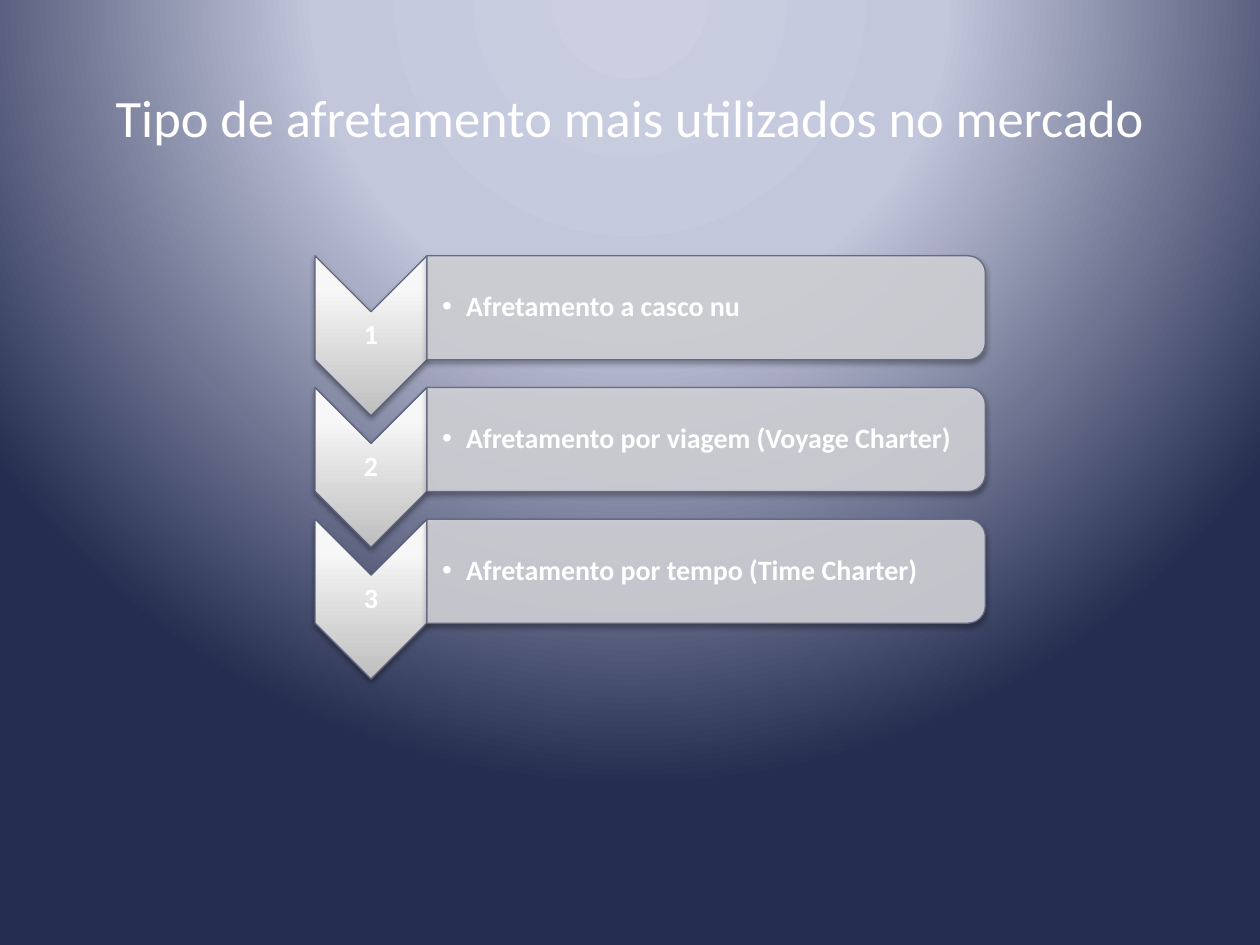
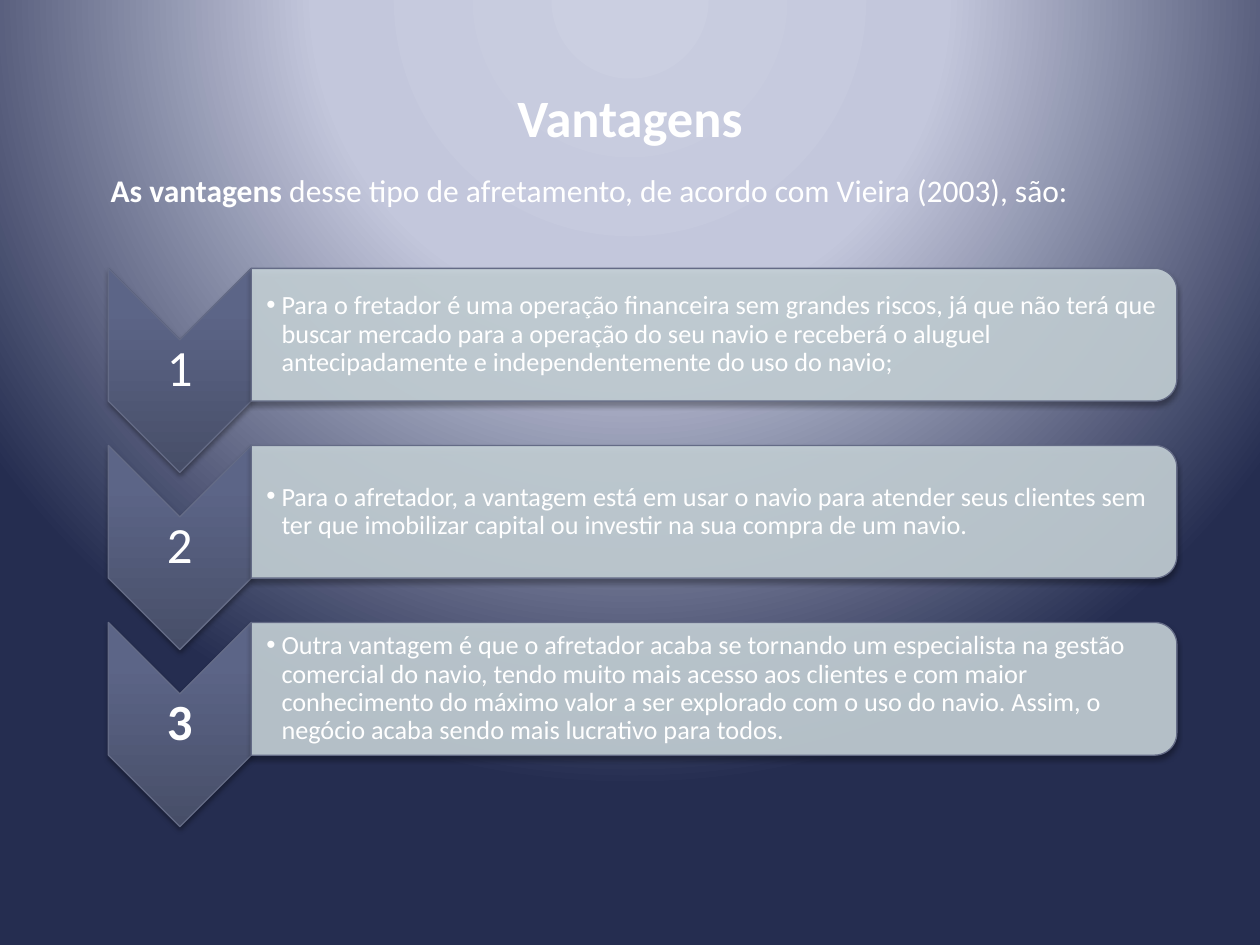
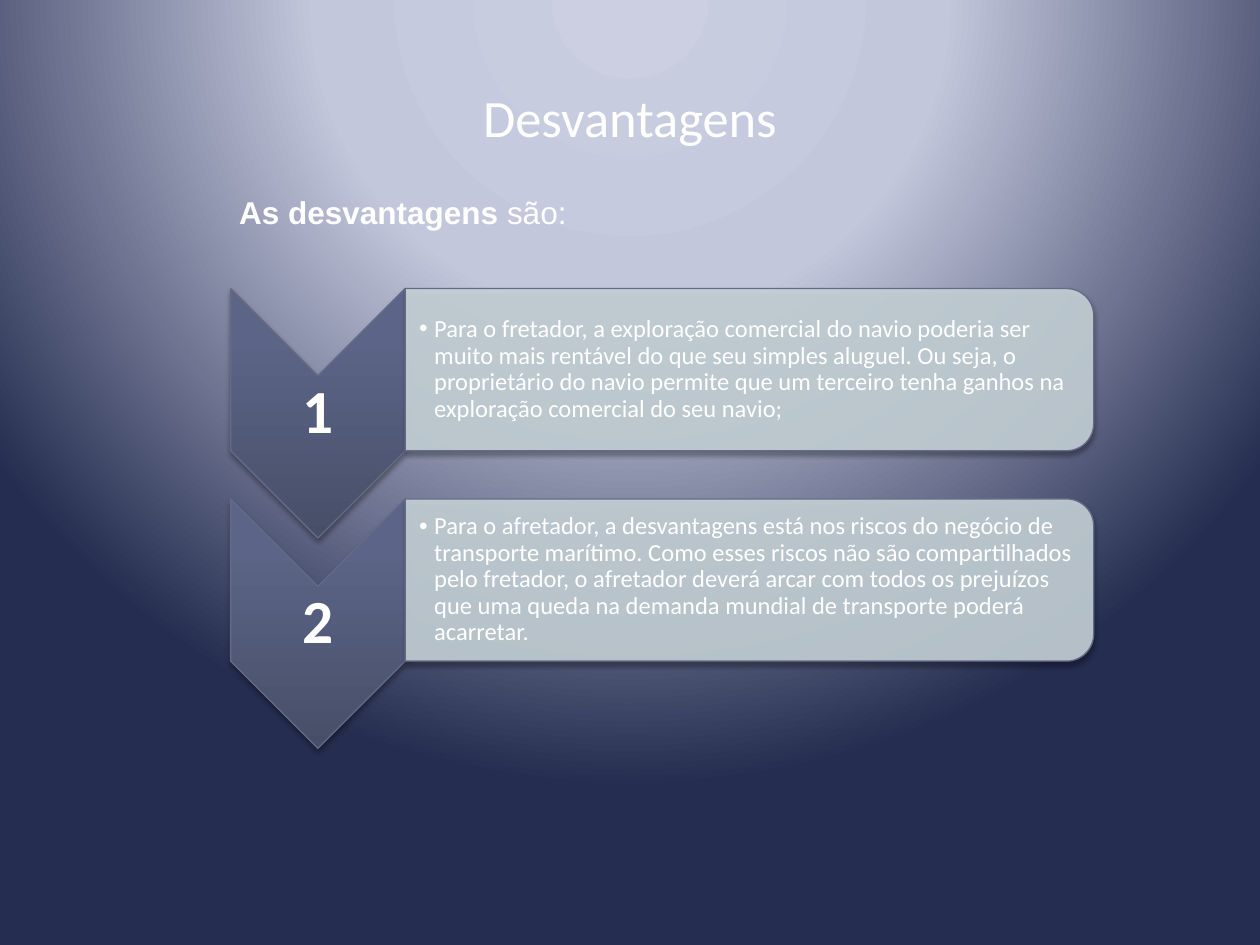
from dataclasses import dataclass

from lxml import etree
from pptx import Presentation
from pptx.dml.color import RGBColor
from pptx.enum.shapes import MSO_SHAPE
from pptx.enum.text import MSO_ANCHOR, PP_ALIGN
from pptx.oxml.ns import qn
from pptx.util import Inches, Pt

CHEVRON = MSO_SHAPE.CHEVRON
ROUNDED = MSO_SHAPE.ROUND_2_SAME_RECTANGLE
MIDDLE = MSO_ANCHOR.MIDDLE
TOP = MSO_ANCHOR.TOP
LEFT = PP_ALIGN.LEFT
CENTER = PP_ALIGN.CENTER
JUSTIFY = PP_ALIGN.JUSTIFY
TITLE_ONLY = 5


@dataclass(frozen=True)
class Theme:
    font: str = "Calibri"
    alt_font: str = "Arial"
    ink: str = "FFFFFF"
    edge: str = "646B86"
    shade: str = "000000"
    title: int = 30
    lead: int = 18
    back: tuple = ((0, "CBCFE1"), (40, "C3C7DC"), (100, "252D50"))


@dataclass(frozen=True)
class Style:
    arrow: tuple
    edge: str
    band: str
    mark: int
    body: int
    indent: float
    pad: float
    bold: bool = False


THEME = Theme()
BLUE = ((0, "474E68"), (80, "5C6587"), (100, "5C6588"))
GREY = ((0, "BEBEBE"), (80, "F7F7F7"), (100, "F8F8F8"))
TYPES = Style(GREY, "5B617A", "D3D4D9", 16, 16, 0.19, 0.12, True)
PROS = Style(BLUE, THEME.edge, "C5D1D7", 29, 15, 0.12, 0.12)
CONS = Style(BLUE, THEME.edge, "C5D1D7", 35, 14, 0.12, 0.11)


def add(parent, tag, **attrs):
    return etree.SubElement(parent, qn(tag), {k: str(v) for k, v in attrs.items()})


def blend(holder, stops, radial=False):
    solid = holder.find(qn("a:solidFill"))
    grad = etree.Element(qn("a:gradFill"), rotWithShape="0")
    items = add(grad, "a:gsLst")
    for pos, color in stops:
        add(add(items, "a:gs", pos=pos * 1000), "a:srgbClr", val=color)
    if radial:
        route = add(grad, "a:path", path="circle")
        add(route, "a:fillToRect", l=50000, t=-80000, r=50000, b=180000)
    else:
        add(grad, "a:lin", ang=270 * 60000, scaled=0)
    holder.replace(solid, grad)


def write(frame, parts, size, font=THEME.font, align=LEFT):
    para = frame.paragraphs[0]
    para.text = parts[0][0]
    para.alignment = align
    for text, _ in parts[1:]:
        para.add_run().text = text
    for run, (_, bold) in zip(para.runs, parts):
        run.font.name = font
        run.font.size = Pt(size)
        run.font.bold = bold
        run.font.color.rgb = RGBColor.from_string(THEME.ink)
    return para


def label(shapes, box, anchor=TOP, wrap=True):
    frame = shapes.add_textbox(*map(Inches, box)).text_frame
    frame.word_wrap = wrap
    frame.vertical_anchor = anchor
    return frame


def inset(frame, left, rest):
    frame.margin_left = Inches(left)
    frame.margin_top = frame.margin_right = frame.margin_bottom = Inches(rest)


def turned(shapes, kind, box, color, edge):
    left, top, width, height = box
    shift = (width - height) / 2
    place = left + shift, top - shift, height, width
    shape = shapes.add_shape(kind, *map(Inches, place))
    shape.rotation = 90
    shape.fill.solid()
    shape.fill.fore_color.rgb = RGBColor.from_string(color)
    shape.line.color.rgb = RGBColor.from_string(edge)
    shape.line.width = Pt(0.75)
    shape.shadow.inherit = False
    props = shape.element.spPr
    glow = add(props.find(qn("a:effectLst")), "a:outerShdw", blurRad=Pt(3.1),
               dist=Pt(1.8), dir=90 * 60000, rotWithShape=0)
    add(add(glow, "a:srgbClr", val=THEME.shade), "a:alpha", val=35000)
    return props


def arrow(shapes, box, mark, bold, style):
    left, top, width, height = box
    props = turned(shapes, CHEVRON, box, style.arrow[0][1], style.edge)
    blend(props, style.arrow)
    frame = label(shapes, (left, top + width / 2, width, height - width), MIDDLE)
    inset(frame, 0.02, 0.02)
    write(frame, [(mark, bold)], style.mark, align=CENTER).line_spacing = 0.9


def band(shapes, box, text, style):
    left, top, width, height = box
    props = turned(shapes, ROUNDED, box, style.band, THEME.edge)
    add(props.find(qn("a:solidFill"))[0], "a:alpha", val=90000)
    gap = 0.05 * height
    frame = label(shapes, (left, top + gap, width - gap, height - 2 * gap), MIDDLE)
    inset(frame, style.pad, 0.01)
    para = write(frame, [(text, style.bold)], style.body)
    para.line_spacing = 0.9
    props = para._p.get_or_add_pPr()
    props.set("marL", str(Inches(style.indent)))
    props.set("indent", str(-Inches(style.indent)))
    add(props, "a:buFont", typeface=THEME.alt_font)
    add(props, "a:buChar", char="•")


def steps(slide, box, tall, items, style):
    left, top, width, height = box
    wide = 0.7 * tall
    pitch = (height - tall) / (len(items) - 1)
    shapes = slide.shapes.add_group_shape().shapes
    for i, (text, bold) in enumerate(items):
        y = top + i * pitch
        arrow(shapes, (left, y, wide, tall), str(i + 1), bold, style)
        band(shapes, (left + wide, y, width - wide, 0.65 * tall), text, style)


def page(deck, text, bold=False):
    slide = deck.slides.add_slide(deck.slide_layouts[TITLE_ONLY])
    title = slide.shapes.title
    title.left, title.top, title.width, title.height = map(Inches, (0.5, 0.3, 9, 1.25))
    title.text_frame.vertical_anchor = MIDDLE
    write(title.text_frame, [(text, bold)], THEME.title, align=CENTER)
    return slide


def types(deck):
    slide = page(deck, "Tipo de afretamento mais utilizados no mercado")
    steps(slide, (2.5, 2.03, 5.32, 3.36), 1.27, [
        ("Afretamento a casco nu", True),
        ("Afretamento por viagem (Voyage Charter)", True),
        ("Afretamento por tempo (Time Charter)", True),
    ], TYPES)


def pros(deck):
    slide = page(deck, "Vantagens", True)
    steps(slide, (0.86, 2.13, 8.48, 4.43), 1.62, [
        ("Para o fretador é uma operação financeira sem grandes riscos, já que "
         "não terá que buscar mercado para a operação do seu navio e receberá o "
         "aluguel antecipadamente e independentemente do uso do navio;", False),
        ("Para o afretador, a vantagem está em usar o navio para atender seus "
         "clientes sem ter que imobilizar capital ou investir na sua compra de "
         "um navio.", False),
        ("Outra vantagem é que o afretador acaba se tornando um especialista na "
         "gestão comercial do navio, tendo muito mais acesso aos clientes e com "
         "maior conhecimento do máximo valor a ser explorado com o uso do navio. "
         "Assim, o negócio acaba sendo mais lucrativo para todos.", True),
    ], PROS)
    frame = label(slide.shapes, (0.78, 1.31, 8.52, 0.4))
    write(frame, [
        ("As vantagens", True),
        (" desse tipo de afretamento, de acordo com Vieira (2003), são:", False),
    ], THEME.lead)


def cons(deck):
    slide = page(deck, "Desvantagens")
    steps(slide, (1.83, 2.29, 6.85, 3.65), 1.98, [
        ("Para o fretador, a exploração comercial do navio poderia ser muito "
         "mais rentável do que seu simples aluguel. Ou seja, o proprietário do "
         "navio permite que um terceiro tenha ganhos na exploração comercial do "
         "seu navio;", True),
        ("Para o afretador, a desvantagens está nos riscos do negócio de "
         "transporte marítimo. Como esses riscos não são compartilhados pelo "
         "fretador, o afretador deverá arcar com todos os prejuízos que uma "
         "queda na demanda mundial de transporte poderá acarretar.", True),
    ], CONS)
    frame = label(slide.shapes, (1.8, 1.48, 2.82, 0.4), MIDDLE, False)
    write(frame, [("As desvantagens", True), (" são:", False)],
          THEME.lead, THEME.alt_font, JUSTIFY)


def main():
    deck = Presentation()
    deck.slide_width, deck.slide_height = Inches(10), Inches(7.5)
    master = deck.slide_master
    master.background.fill.solid()
    master.background.fill.fore_color.rgb = RGBColor.from_string(THEME.back[0][1])
    blend(master.element.find(".//" + qn("p:bgPr")), THEME.back, True)
    for build in (types, pros, cons):
        build(deck)
    deck.save("out.pptx")


if __name__ == "__main__":
    main()
